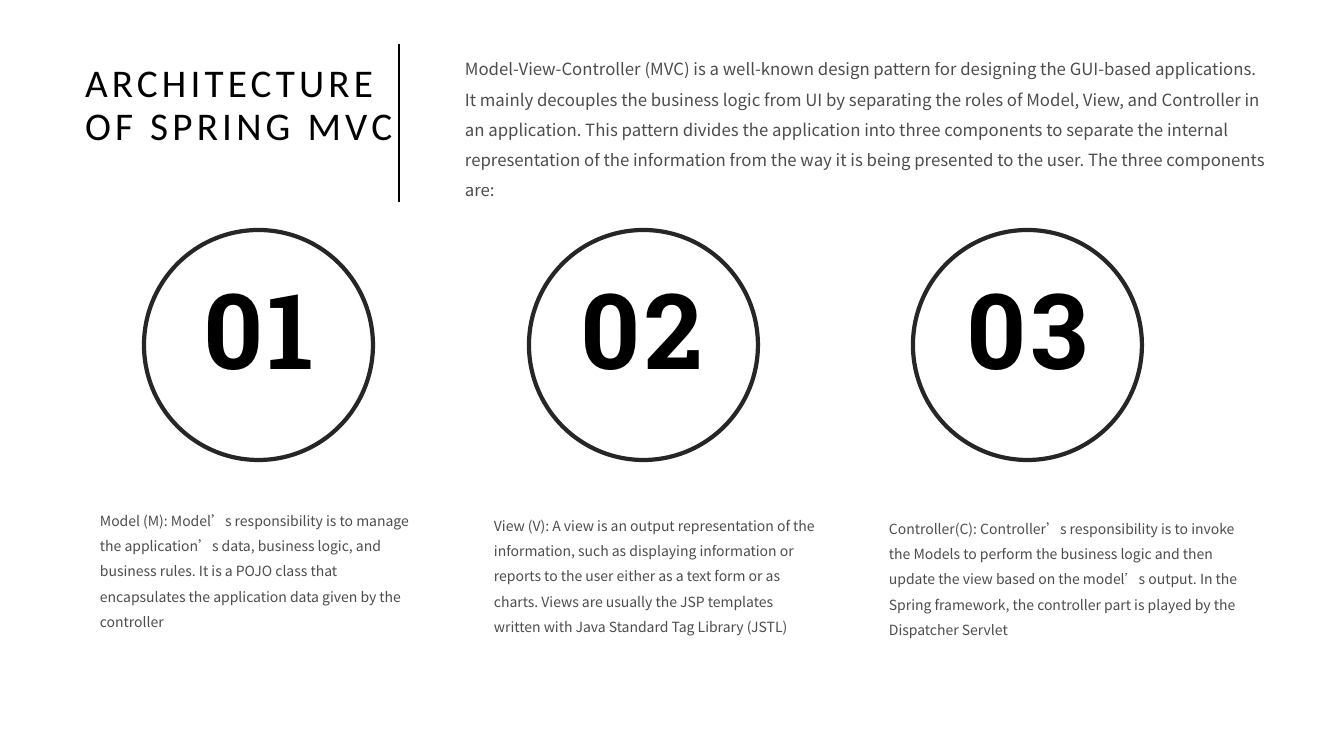
"""Build the slide on the architecture of Spring MVC."""
from lxml import etree
from pptx import Presentation
from pptx.dml.color import RGBColor
from pptx.enum.shapes import MSO_CONNECTOR, MSO_SHAPE
from pptx.enum.text import MSO_ANCHOR, MSO_AUTO_SIZE, PP_ALIGN
from pptx.oxml.ns import qn
from pptx.util import Pt

LINE, OVAL = MSO_CONNECTOR.STRAIGHT, MSO_SHAPE.OVAL
TOP, GROW = MSO_ANCHOR.TOP, MSO_AUTO_SIZE.SHAPE_TO_FIT_TEXT
LEFT, CENTER = PP_ALIGN.LEFT, PP_ALIGN.CENTER
SANS = "Noto Sans CJK SC"
BLACK, GREY = "000000", "262626"


def px(n):
    return round(n * 914400 / 100.8)


def write(text, left, top, width, height, size=10, face=SANS, bold=False,
          align=LEFT, lead=1.5, after=10, space=0, alpha=70, box=None):
    box = box or slide.shapes.add_textbox(0, 0, 0, 0)
    box.left, box.top, box.width, box.height = map(px, (left, top, width, height))
    frame = box.text_frame
    frame.word_wrap, frame.auto_size = True, GROW
    frame.vertical_anchor = TOP
    frame.margin_left = frame.margin_right = 0
    frame.margin_top = frame.margin_bottom = px(5)
    para = frame.paragraphs[0]
    para.alignment, para.line_spacing = align, lead
    para.space_before, para.space_after = Pt(0), Pt(after)
    run = para.add_run()
    run.text = text
    font = run.font
    font.name, font.size, font.bold = face, Pt(size), bold
    font.color.rgb = RGBColor.from_string(BLACK)
    props = run._r.get_or_add_rPr()
    if space:
        props.set("spc", str(space * 100))
    if alpha < 100:
        shade = props.find(".//" + qn("a:srgbClr"))
        etree.SubElement(shade, qn("a:alpha"), val=str(alpha * 1000))
    etree.SubElement(props, qn("a:ea"), typeface=face)


deck = Presentation()
deck.slide_width, deck.slide_height = px(1344), px(756)
slide = deck.slides.add_slide(deck.slide_layouts[5])

write("ARCHITECTURE OF SPRING MVC", 85, 59, 314, 96, size=28, face="Calibri",
      lead=0.9, after=0, space=3, alpha=100, box=slide.shapes.title)

rule = slide.shapes.add_connector(LINE, px(399), px(44), px(399), px(202))
rule.line.color.rgb = RGBColor.from_string(BLACK)
rule.line.width = Pt(2)
etree.SubElement(rule._element.spPr, qn("a:effectLst"))

write("Model-View-Controller (MVC) is a well-known design pattern for designing "
      "the GUI-based applications. It mainly decouples the business logic from UI "
      "by separating the roles of Model, View, and Controller in an application. "
      "This pattern divides the application into three components to separate the "
      "internal representation of the information from the way it is being "
      "presented to the user. The three components are:",
      465, 44, 803, 159, size=12)

parts = [
    (144, 144, 100, 499, 324,
     "Model (M): Model’s responsibility is to manage the application’s data, "
     "business logic, and business rules. It is a POJO class that encapsulates "
     "the application data given by the controller"),
    (527, 529, 494, 504, 324,
     "View (V): A view is an output representation of the information, such as "
     "displaying information or reports to the user either as a text form or as "
     "charts. Views are usually the JSP templates written with Java Standard Tag "
     "Library (JSTL)"),
    (913, 913, 889, 507, 352,
     "Controller(C): Controller’s responsibility is to invoke the Models to "
     "perform the business logic and then update the view based on the model’s "
     "output. In the Spring framework, the controller part is played by the "
     "Dispatcher Servlet"),
]
for num, (x, ring, left, top, width, text) in enumerate(parts, 1):
    write(f"{num:02}", x, 274, 229, 125, size=75, face="Roboto Slab", bold=True,
          align=CENTER, lead=0.9, after=0, space=3, alpha=100)
    disc = slide.shapes.add_shape(OVAL, px(ring), px(230), px(229), px(230))
    disc.shadow.inherit = False
    disc.fill.background()
    disc.line.color.rgb = RGBColor.from_string(GREY)
    disc.line.width = Pt(3)
    write(text, left, top, width, 134)

deck.save("out.pptx")
